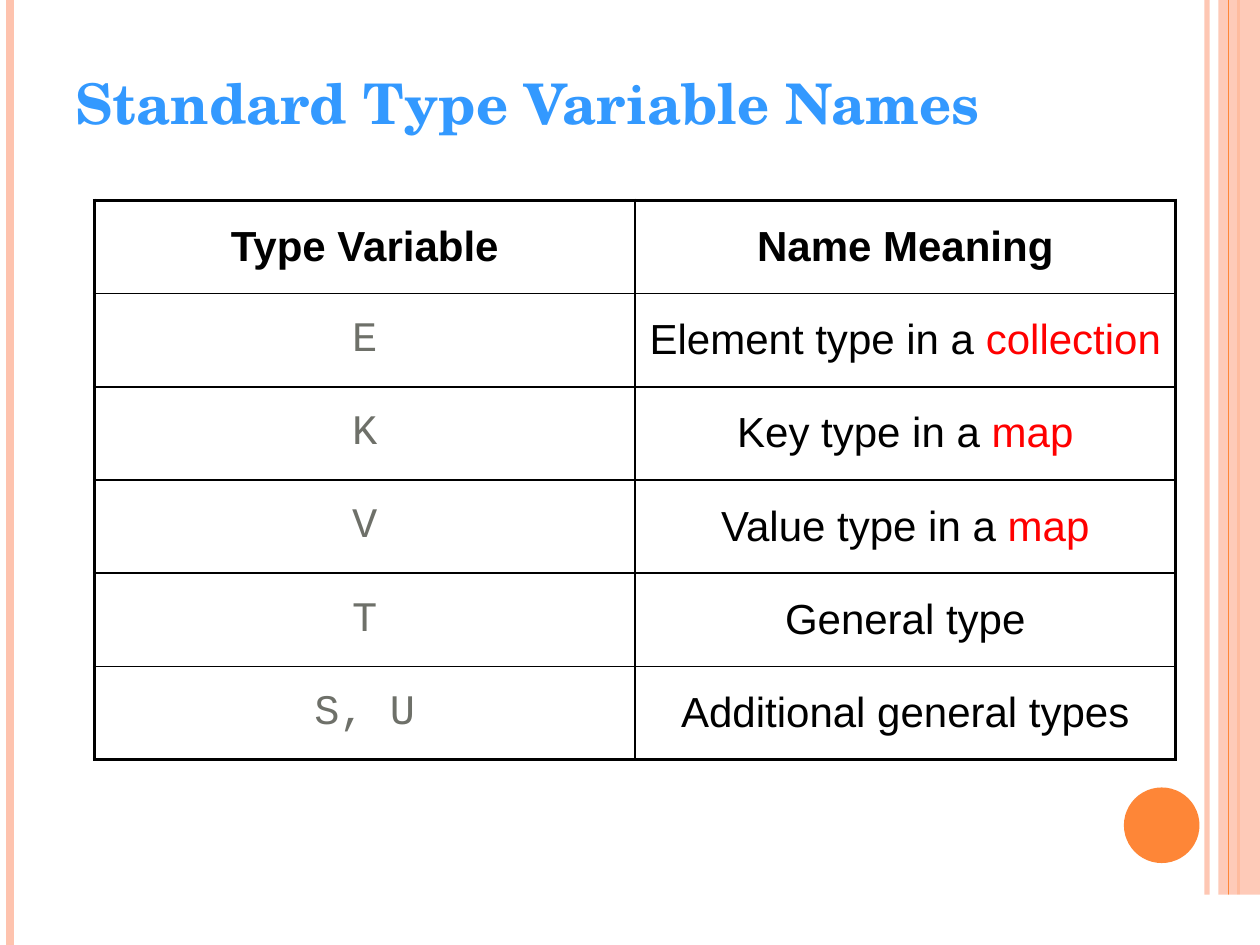
from dataclasses import dataclass

from pptx import Presentation
from pptx.dml.color import RGBColor
from pptx.enum.shapes import MSO_CONNECTOR as CONN, MSO_SHAPE as SHAPE
from pptx.enum.text import MSO_ANCHOR as ANCHOR, MSO_AUTO_SIZE as FIT, PP_ALIGN as ALIGN
from pptx.oxml import parse_xml
from pptx.oxml.ns import nsdecls, qn
from pptx.util import Inches, Pt


@dataclass(frozen=True)
class Theme:
    """Colours, fonts, type sizes and line weights."""
    accent: str = "FE8637"
    pale: str = "FEC3AE"
    paper: str = "FFFFFF"
    ink: str = "000000"
    code: str = "6E7069"
    key: str = "FF0000"
    heading: str = "3399FF"
    title_font: str = "TeX Gyre Schola"
    body_font: str = "Arial"
    code_font: str = "Courier New"
    title_size: int = 32
    body_size: int = 24
    outer: float = 2.25
    inner: float = 1


class Deck:
    """Holds the style and the current slide; lengths are shares of the slide."""

    def __init__(self, prs, theme):
        """Start a title-only slide."""
        self.prs, self.t = prs, theme
        self.s = prs.slides.add_slide(prs.slide_layouts[5])

    def x(self, share):
        """Turn a share of the width into a length."""
        return round(self.prs.slide_width * share)

    def y(self, share):
        """Turn a share of the height into a length."""
        return round(self.prs.slide_height * share)

    def box(self, left, top, width, height):
        """Turn four shares into a position and size."""
        return self.x(left), self.y(top), self.x(width), self.y(height)

    def opacity(self, fill, percent):
        """Make the colour of a solid fill partly transparent."""
        if percent < 100:
            fill.find(qn("a:solidFill"))[0].append(
                parse_xml(f'<a:alpha {nsdecls("a")} val="{percent * 1000}"/>'))

    def run(self, p, text, font, size, color, bold=False):
        """Add one formatted run."""
        r = p.add_run()
        r.text = text
        r.font.name, r.font.size, r.font.bold = font, Pt(size), bold
        r.font.color.rgb = RGBColor.from_string(color)

    def stripe(self, at, color, weight, opacity=100):
        """Draw a vertical line over the full height."""
        c = self.s.shapes.add_connector(
            CONN.STRAIGHT, self.x(at), 0, self.x(at), self.y(1))
        c.line.color.rgb = RGBColor.from_string(color)
        c.line.width = Pt(weight)
        self.opacity(c.line._get_or_add_ln(), opacity)
        c._element.spPr.append(parse_xml(f'<a:effectLst {nsdecls("a")}/>'))

    def shape(self, kind, area, color, opacity=100):
        """Draw a plain filled shape."""
        sp = self.s.shapes.add_shape(kind, *self.box(*area))
        sp.shadow.inherit = False
        sp.fill.solid()
        sp.fill.fore_color.rgb = RGBColor.from_string(color)
        sp.line.fill.background()
        self.opacity(sp._element.spPr, opacity)

    def title(self, text, area):
        """Place and format the title placeholder."""
        sp = self.s.shapes.title
        sp.left, sp.top, sp.width, sp.height = self.box(*area)
        tf = sp.text_frame
        tf.auto_size, tf.word_wrap = FIT.NONE, True
        tf.vertical_anchor, tf.margin_bottom = ANCHOR.BOTTOM, Inches(0.09)
        p = tf.paragraphs[0]
        p.alignment = ALIGN.LEFT
        self.run(p, text, self.t.title_font, self.t.title_size, self.t.heading, True)

    def borders(self, cell, edges):
        """Set the left, right, top and bottom lines; True marks an outer edge."""
        for i, (side, is_outer) in enumerate(zip("LRTB", edges)):
            width = Pt(self.t.outer if is_outer else self.t.inner)
            cell._tc.get_or_add_tcPr().insert(i, parse_xml(
                f'<a:ln{side} {nsdecls("a")} w="{width}"><a:solidFill>'
                f'<a:srgbClr val="{self.t.ink}"/></a:solidFill></a:ln{side}>'))

    def table(self, rows, area):
        """Draw an even grid; each cell is a list of (text, font, colour, bold)."""
        n, m = len(rows), len(rows[0])
        tbl = self.s.shapes.add_table(n, m, *self.box(*area)).table
        tbl.first_row = tbl.horz_banding = False
        for i, row in enumerate(rows):
            for j, runs in enumerate(row):
                cell = tbl.cell(i, j)
                cell.fill.background()
                cell.vertical_anchor = ANCHOR.MIDDLE
                self.borders(cell, (j == 0, j == m - 1, i == 0, i == n - 1))
                p = cell.text_frame.paragraphs[0]
                p.alignment = ALIGN.CENTER
                for text, font, color, bold in runs:
                    self.run(p, text, font, self.t.body_size, color, bold)


def type_rows(t):
    """Return the header row and one row per type variable."""
    header = [[(h, t.body_font, t.ink, True)] for h in ("Type Variable", "Name Meaning")]
    meanings = [("E", "Element type in a ", "collection"),
                ("K", "Key type in a ", "map"),
                ("V", "Value type in a ", "map"),
                ("T", "General type", ""),
                ("S, U", "Additional general types", "")]
    rows = [header]
    for name, meaning, key in meanings:
        runs = [(meaning, t.body_font, t.ink, False)]
        if key:
            runs.append((key, t.body_font, t.key, False))
        rows.append([[(name, t.code_font, t.code, False)], runs])
    return rows


def main():
    """Build the slide and save it."""
    prs = Presentation()
    prs.slide_width, prs.slide_height = Inches(10), Inches(7.5)
    t = Theme()
    d = Deck(prs, t)
    d.stripe(0.958, t.pale, 3, 93)
    d.stripe(0.008, t.pale, 4.5)
    d.stripe(0.983, t.accent, 1.5)
    d.shape(SHAPE.RECTANGLE, (0.967, 0, 0.033, 1), t.pale, 87)
    d.stripe(0.975, t.accent, 0.75)
    d.shape(SHAPE.OVAL, (0.892, 6.25 / 7.5, 0.06, 0.08), t.accent)
    d.shape(SHAPE.RECTANGLE, (0.615, 7.1 / 7.5, 0.385, 0.4 / 7.5), t.paper)
    d.table(type_rows(t), (0.075, 1.59 / 7.5, 0.858, 4.44 / 7.5))
    d.title("Standard Type Variable Names", (0.05, -0.08 / 7.5, 0.9, 1.25 / 7.5))
    prs.save("out.pptx")


main()
